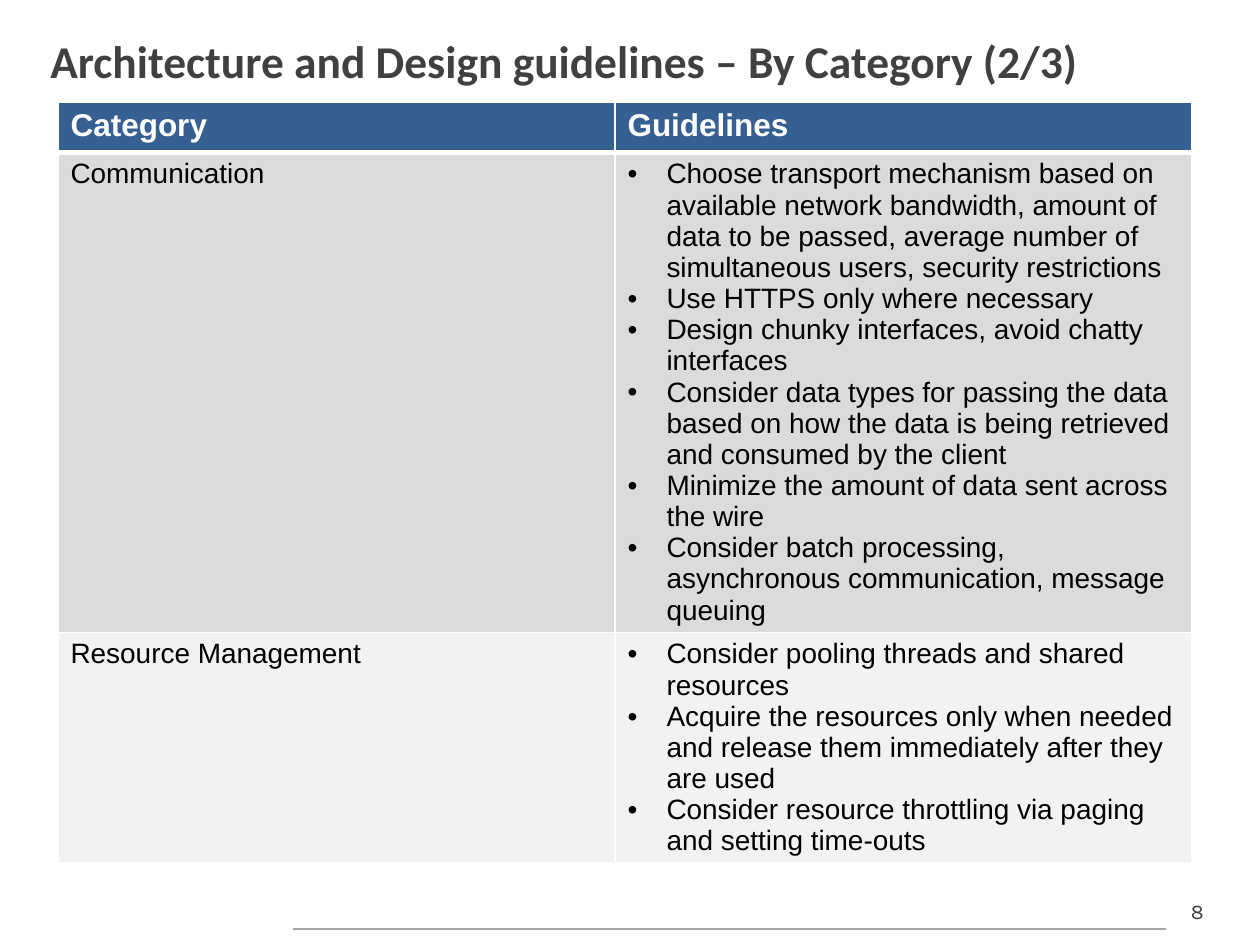
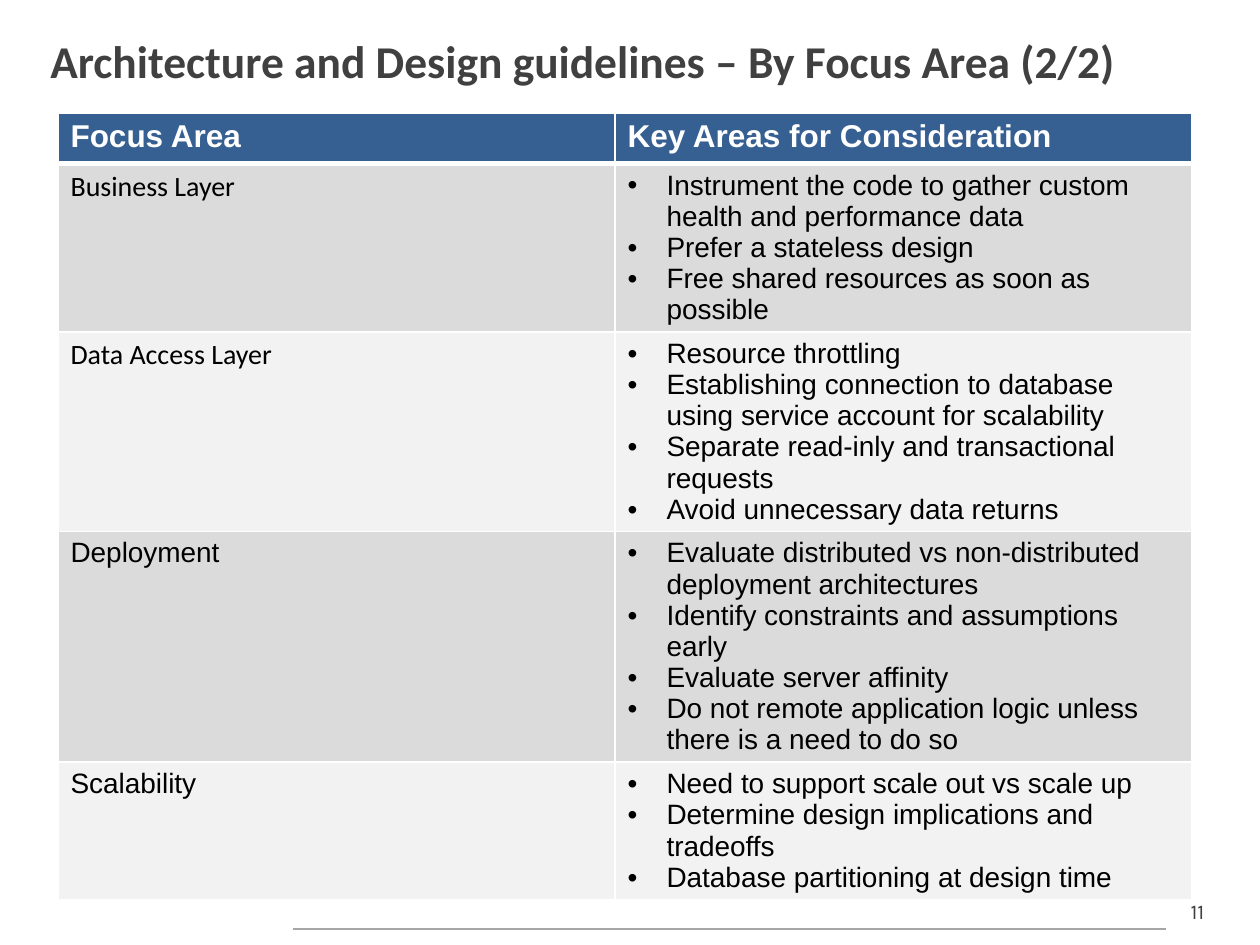
from lxml import etree
from pptx import Presentation
from pptx.dml.color import RGBColor
from pptx.enum.shapes import MSO_CONNECTOR
from pptx.enum.text import MSO_ANCHOR, MSO_AUTO_SIZE, PP_ALIGN
from pptx.oxml.ns import qn
from pptx.util import Emu, Pt

STRAIGHT = MSO_CONNECTOR.STRAIGHT
MIDDLE = MSO_ANCHOR.MIDDLE
FIT_SHAPE = MSO_AUTO_SIZE.SHAPE_TO_FIT_TEXT
LEFT, CENTER = PP_ALIGN.LEFT, PP_ALIGN.CENTER

PX = 914400 // 126  # EMU in one pixel
COLORS = {
    "heading": "404040",
    "rule": "A6A6A6",
    "header": "376092",
    "odd_row": "DBDBDB",
    "even_row": "F2F2F2",
    "white": "FFFFFF",
    "body": "000000",
}
BODY_FONT, TITLE_FONT, NUMBER_FONT = "Arial", "Calibri", "Karla"

TABLE_LEFT = 58
COLUMN_WIDTHS = (557, 577)
ROW_HEIGHT = 50  # least height, rows grow with their text
BULLET_INDENT = 39
BULLET_LINE = Pt(17.8)

# Each row: label, label font, bullet points
CATEGORY_ROWS = [
    ("Communication", BODY_FONT, [
        "Choose transport mechanism based on available network bandwidth, amount of data "
        "to be passed, average number of simultaneous users, security restrictions",
        "Use HTTPS only where necessary",
        "Design chunky interfaces, avoid chatty interfaces",
        "Consider data types for passing the data based on how the data is being "
        "retrieved and consumed by the client",
        "Minimize the amount of data sent across the wire",
        "Consider batch processing, asynchronous communication, message queuing",
    ]),
    ("Resource Management", BODY_FONT, [
        "Consider pooling threads and shared resources",
        "Acquire the resources only when needed and release them immediately after "
        "they are used",
        "Consider resource throttling via paging and setting time-outs",
    ]),
]
FOCUS_ROWS = [
    ("Business Layer", TITLE_FONT, [
        "Instrument the code to gather custom health and performance data",
        "Prefer a stateless design",
        "Free shared resources as soon as possible",
    ]),
    ("Data Access Layer", TITLE_FONT, [
        "Resource throttling",
        "Establishing connection to database using service account for scalability",
        "Separate read-inly and transactional requests",
        "Avoid unnecessary data returns",
    ]),
    ("Deployment", BODY_FONT, [
        "Evaluate distributed vs non-distributed deployment architectures",
        "Identify constraints and assumptions early",
        "Evaluate server affinity",
        "Do not remote application logic unless there is a need to do so",
    ]),
    ("Scalability", BODY_FONT, [
        "Need to support scale out vs scale up",
        "Determine design implications and tradeoffs",
        "Database partitioning at design time",
    ]),
]


def px(length):
    return Emu(length * PX)


def rgb(name):
    return RGBColor.from_string(COLORS[name])


def style_text(frame, size, font, color, bold=False):
    for para in frame.paragraphs:
        for span in para.runs:
            span.font.size = Pt(size)
            span.font.name = font
            span.font.bold = bold
            span.font.color.rgb = rgb(color)
        # The paragraph mark takes the same size and font as the text
        mark = etree.SubElement(para._p, qn("a:endParaRPr"), sz=str(size * 100))
        etree.SubElement(mark, qn("a:latin"), typeface=font)


def add_text(page, text, left, top, width, height, align=LEFT):
    box = page.shapes.add_textbox(px(left), px(top), px(width), px(height))
    frame = box.text_frame
    frame.word_wrap = True
    frame.text = text
    frame.paragraphs[0].alignment = align
    return frame


def add_title(page, text):
    frame = add_text(page, text, 38, 20, 1179, 80)
    frame.vertical_anchor = MIDDLE
    style_text(frame, 26, TITLE_FONT, "heading", bold=True)


def add_footer(page, number):
    frame = add_text(page, str(number), 1166, 892, 63, 38, CENTER)
    frame.auto_size = FIT_SHAPE
    style_text(frame, 12, NUMBER_FONT, "heading")
    rule = page.shapes.add_connector(STRAIGHT, px(293), px(929), px(1166), px(929))
    rule.line.color.rgb = rgb("rule")
    rule.line.width = Pt(0.75)
    etree.SubElement(rule._element.spPr, qn("a:effectLst"))


def set_borders(cell, top, bottom):
    """White borders; they must come before the fill in the cell properties."""
    props = cell._tc.get_or_add_tcPr()
    sides = (("a:lnL", 1), ("a:lnR", 1), ("a:lnT", top), ("a:lnB", bottom))
    for index, (tag, points) in enumerate(sides):
        line = etree.Element(qn(tag), w=str(Pt(points)))
        fill = etree.SubElement(line, qn("a:solidFill"))
        etree.SubElement(fill, qn("a:srgbClr"), val=COLORS["white"])
        props.insert(index, line)


def fill_cell(cell, color, top=1, bottom=1):
    cell.fill.solid()
    cell.fill.fore_color.rgb = rgb(color)
    set_borders(cell, top, bottom)


def add_bullets(frame):
    for para in frame.paragraphs:
        para.line_spacing = BULLET_LINE
        props = para._p.get_or_add_pPr()
        props.set("marL", str(px(BULLET_INDENT)))
        props.set("indent", str(-px(BULLET_INDENT)))
        etree.SubElement(props, qn("a:buFont"), typeface=BODY_FONT)
        etree.SubElement(props, qn("a:buChar"), char="•")


def add_guideline_table(page, top, height, headings, rows):
    count = len(rows) + 1
    holder = page.shapes.add_table(
        count, len(COLUMN_WIDTHS), px(TABLE_LEFT), px(top),
        px(sum(COLUMN_WIDTHS)), px(ROW_HEIGHT * count))
    table = holder.table
    for column, width in zip(table.columns, COLUMN_WIDTHS):
        column.width = px(width)
    holder.height = px(height)

    # Header row
    for index, heading in enumerate(headings):
        cell = table.cell(0, index)
        cell.text_frame.text = heading
        style_text(cell.text_frame, 18, BODY_FONT, "white", bold=True)
        fill_cell(cell, "header", bottom=3)

    # Banded body rows
    for number, (label, label_font, points) in enumerate(rows, start=1):
        label_cell, points_cell = table.cell(number, 0), table.cell(number, 1)
        label_cell.text_frame.text = label
        style_text(label_cell.text_frame, 16, label_font, "body")
        points_cell.text_frame.text = "\n".join(points)
        style_text(points_cell.text_frame, 16, BODY_FONT, "body")
        add_bullets(points_cell.text_frame)
        for cell in (label_cell, points_cell):
            fill_cell(cell, "odd_row" if number % 2 else "even_row",
                      top=3 if number == 1 else 1)


def add_page(deck, number, title, table_top, table_height, headings, rows):
    page = deck.slides.add_slide(deck.slide_layouts[6])
    add_footer(page, number)
    add_title(page, title)
    add_guideline_table(page, table_top, table_height, headings, rows)


def main():
    deck = Presentation()
    deck.slide_width, deck.slide_height = px(1260), px(945)
    add_page(deck, 8, "Architecture and Design guidelines – By Category (2/3)",
             102, 781, ("Category", "Guidelines"), CATEGORY_ROWS)
    add_page(deck, 11, "Architecture and Design guidelines – By Focus Area (2/2)",
             113, 740, ("Focus Area", "Key Areas for Consideration"), FOCUS_ROWS)
    deck.save("out.pptx")


main()
